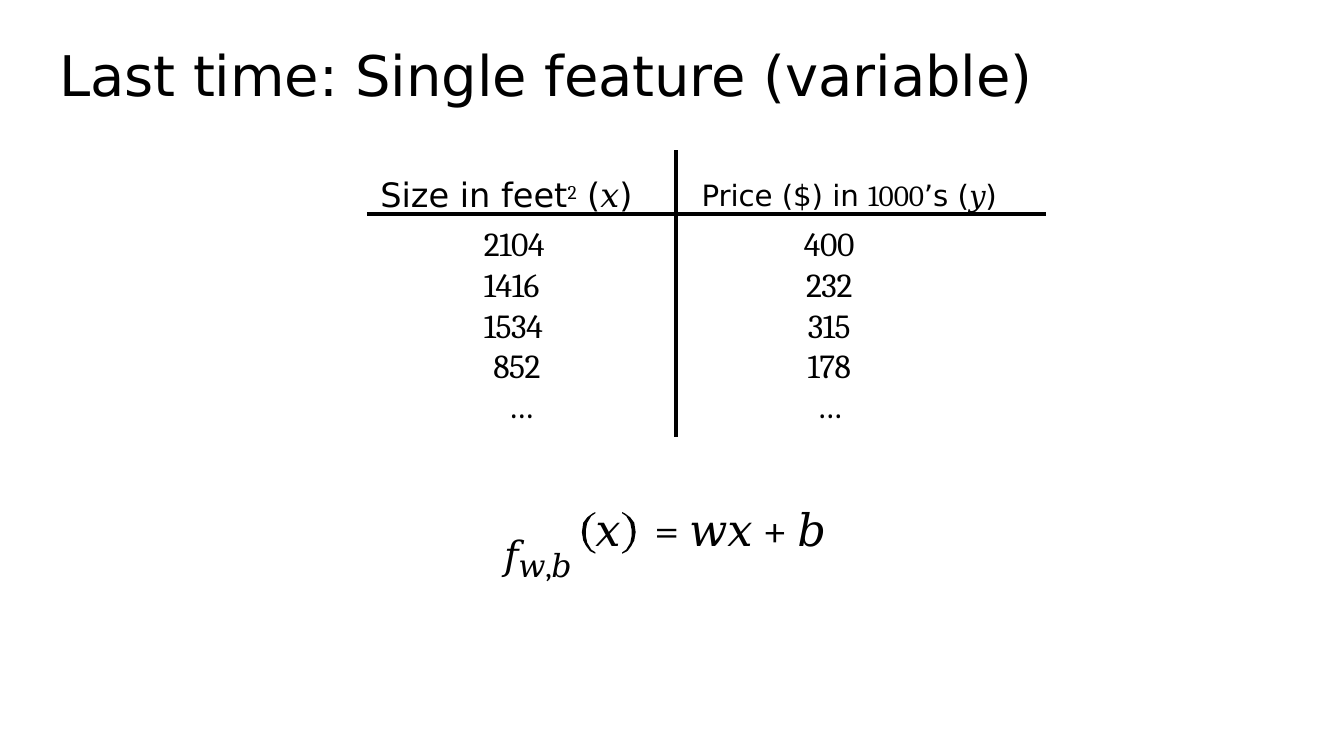
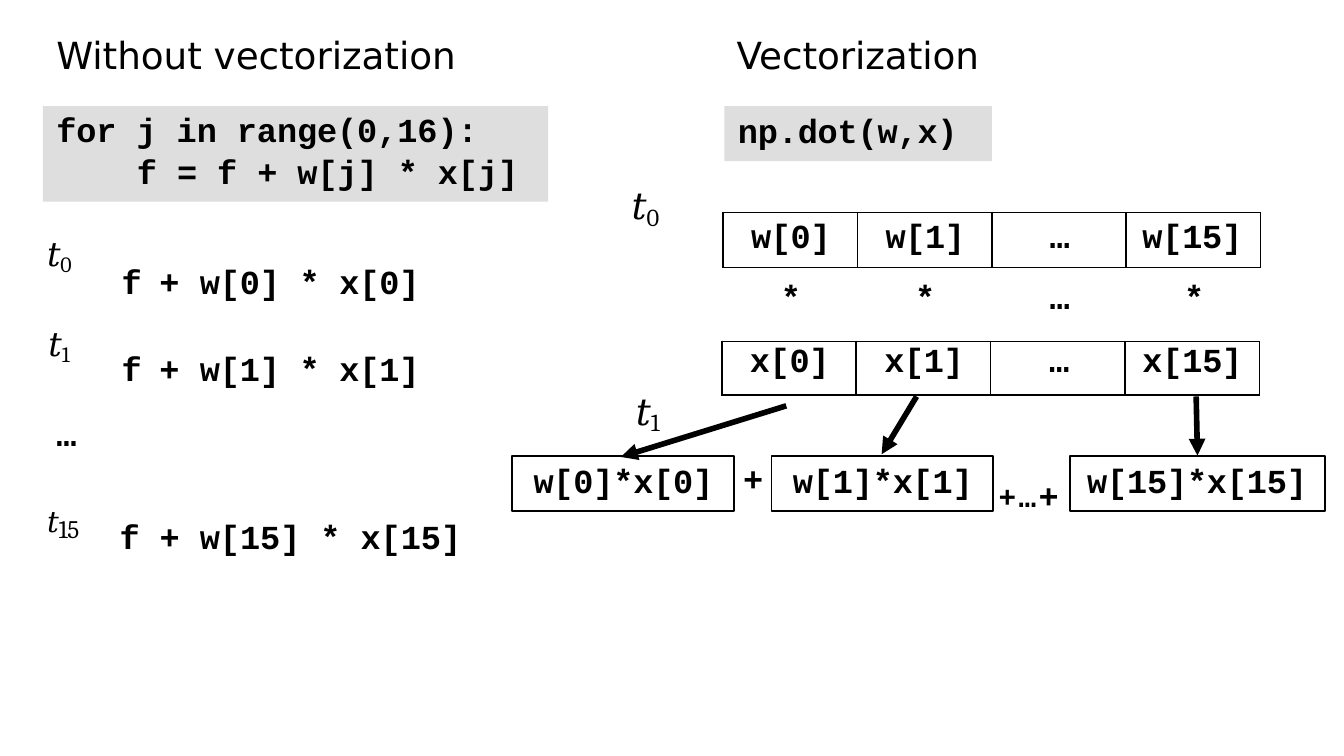
from dataclasses import dataclass
from typing import Optional

from lxml.etree import SubElement
from pptx import Presentation
from pptx.dml.color import RGBColor
from pptx.enum.shapes import MSO_CONNECTOR as Connector, MSO_SHAPE as Shape
from pptx.enum.text import MSO_ANCHOR as Anchor, MSO_AUTO_SIZE as AutoSize, PP_ALIGN as Align
from pptx.oxml.ns import qn
from pptx.util import Inches, Pt

BLACK, CODE_GREY = "000000", "DEDEDE"
SANS, SERIF, MONO = "DejaVu Sans", "Cambria", "Courier New"
NO_GRID = "{2D5ABB26-0587-4C30-8999-92F81FD0307C}"
PAREN = [(4.63, 3.81), (4.63, 3.82), (4.66, 3.84), (4.69, 3.89), (4.7, 3.94), (4.7, 3.99),
         (4.69, 4.04), (4.66, 4.09), (4.63, 4.11), (4.63, 4.12), (4.67, 4.1), (4.7, 4.06),
         (4.72, 4.02), (4.73, 3.96), (4.72, 3.89), (4.69, 3.85), (4.65, 3.82)]


@dataclass
class Span:
    """A stretch of text; raise_by is a baseline shift in percent."""
    text: str
    size: Optional[float] = None
    font: Optional[str] = None
    raise_by: int = 0
    track: float = 0


@dataclass
class Line:
    """A paragraph with its font and spacing."""
    spans: list
    size: float = 18
    font: str = SANS
    bold: bool = False
    indent: float = 0.01
    before: float = 1
    align: Align = Align.LEFT
    leading: Optional[float] = None
    tab: Optional[float] = None


def code(text, track=-0.1, **layout):
    """Return a line of bold code."""
    return Line([Span(text, track=track)], font=MONO, bold=True, **layout)


def colour(value):
    """Turn a hex string into a colour."""
    return RGBColor.from_string(value)


def write_line(para, line):
    """Fill one paragraph from a line."""
    font = para.font
    font.name, font.size, font.bold = line.font, Pt(line.size), line.bold
    font.color.rgb = colour(BLACK)
    para.alignment, para.space_before = line.align, Pt(line.before)
    if line.leading:
        para.line_spacing = Pt(line.leading)
    props = para._p.get_or_add_pPr()
    props.set("marL", str(Inches(line.indent)))
    if line.tab:
        tabs = SubElement(props, qn("a:tabLst"))
        SubElement(tabs, qn("a:tab"), pos=str(Inches(line.tab)), algn="l")
        props.find(qn("a:defRPr")).addprevious(tabs)
    for part in line.spans:
        span = para.add_run()
        span.text = part.text
        if part.font:
            span.font.name = part.font
        if part.size:
            span.font.size = Pt(part.size)
        run_props = span._r.get_or_add_rPr()
        if part.raise_by:
            run_props.set("baseline", str(part.raise_by * 1000))
        if part.track:
            run_props.set("spc", str(round(part.track * 100)))


def write(frame, lines, inset):
    """Fill a text frame, growing to fit its lines."""
    frame.margin_left = frame.margin_right = frame.margin_bottom = 0
    frame.margin_top = Inches(inset)
    frame.word_wrap, frame.auto_size = True, AutoSize.SHAPE_TO_FIT_TEXT
    frame.vertical_anchor = Anchor.TOP
    for number, line in enumerate(lines):
        write_line(frame.add_paragraph() if number else frame.paragraphs[0], line)


def add_text(page, at, *lines, inset=0.01):
    """Add a text box."""
    box = page.shapes.add_textbox(*map(Inches, at))
    write(box.text_frame, lines, inset)


def add_box(page, at, line=None, fill=None, border=None):
    """Add a rectangle, with a line of text if given."""
    box = page.shapes.add_shape(Shape.RECTANGLE, *map(Inches, at))
    box.shadow.inherit = False
    if fill:
        box.fill.solid()
        box.fill.fore_color.rgb = colour(fill)
    else:
        box.fill.background()
    if border:
        box.line.color.rgb, box.line.width = colour(border), Pt(1)
    else:
        box.line.fill.background()
    if line:
        write(box.text_frame, [line], 0.03)


def add_line(page, start, end, width, arrow=False):
    """Add a straight line, with an arrowhead if wanted."""
    line = page.shapes.add_connector(Connector.STRAIGHT, *map(Inches, start + end))
    line.line.color.rgb, line.line.width = colour(BLACK), Pt(width)
    if arrow:
        SubElement(line.line._get_or_add_ln(), qn("a:tailEnd"), type="triangle")
    SubElement(line._element.spPr, qn("a:effectLst"))


def add_border(cell):
    """Draw a thin border on all sides of a cell."""
    props = cell._tc.get_or_add_tcPr()
    for number, side in enumerate(("lnL", "lnR", "lnT", "lnB")):
        edge = props.makeelement(qn(f"a:{side}"), {"w": str(Pt(1))})
        fill = SubElement(edge, qn("a:solidFill"))
        SubElement(fill, qn("a:srgbClr"), val=BLACK)
        props.insert(number, edge)


def add_table(page, left, top, widths, heights, rows, insets=None, border=False):
    """Add a plain table of lines; None leaves a cell empty."""
    size = left, top, sum(widths), sum(heights)
    table = page.shapes.add_table(len(heights), len(widths), *map(Inches, size)).table
    table.first_row = table.horz_banding = False
    table._tbl.tblPr.find(qn("a:tableStyleId")).text = NO_GRID
    for column, width in zip(table.columns, widths):
        column.width = Inches(width)
    insets = insets or [0] * len(heights)
    for row, height, lines, inset in zip(table.rows, heights, rows, insets):
        row.height = Inches(height)
        for cell, line in zip(row.cells, lines):
            cell.margin_left = cell.margin_right = cell.margin_bottom = 0
            cell.margin_top = Inches(inset)
            cell.fill.background()
            if line:
                write_line(cell.text_frame.paragraphs[0], line)
            if border:
                add_border(cell)


def add_parentheses(page):
    """Draw a pair of mirrored parentheses."""
    builder = None
    for points in (PAREN, [(9.06 - x, y) for x, y in PAREN]):
        corners = [(Inches(x), Inches(y)) for x, y in points]
        if builder:
            builder.move_to(*corners[0])
        else:
            builder = page.shapes.build_freeform(*corners[0])
        builder.add_line_segments(corners[1:], close=True)
    pair = builder.convert_to_shape()
    pair.shadow.inherit = False
    pair.fill.solid()
    pair.fill.fore_color.rgb = colour(BLACK)
    pair.line.fill.background()


def add_heading(page, at, text, size=20, indent=0.01, inset=0.02):
    """Add a heading."""
    line = Line([Span(text, track=-0.05)], size, indent=indent, before=1.2)
    add_text(page, at, line, inset=inset)


def add_time(page, left, top, step, size):
    """Add the label of a time step."""
    spans = [Span("𝑡", track=-0.2), Span(step, size * 1.125, raise_by=-16, track=-0.4)]
    add_text(page, (left, top, 0.32, 0.35), Line(spans, size, SERIF, indent=0.04))


def number_cell(text, indent, leading, align=Align.LEFT):
    """Return the line of a data cell."""
    return Line([Span(text, track=-0.2)], font=SERIF, indent=indent, before=0,
                leading=leading, align=align)


def build_single_feature(page):
    """Build the slide on a single feature."""
    add_text(page, (3.71, 3.79, 0.61, 0.43), Line(
        [Span("𝑓", 36, raise_by=12, track=-0.3), Span("𝑤,𝑏", track=-0.2)],
        17, SERIF, indent=0.04))
    add_parentheses(page)
    add_text(page, (4.42, 3.72, 1.8, 0.43), Line(
        [Span("𝑥", track=-0.5), Span("\t= 𝑤𝑥 + "), Span("𝑏", track=-0.6)],
        24, SERIF, tab=0.44))
    add_heading(page, (0.29, 0.03, 9.28, 0.78), "Last time: Single feature (variable)",
                30, 0.15, 0.27)
    price = dict(size=27, raise_by=2)
    add_text(page, (2.8, 1.16, 5.12, 0.33), Line([
        Span("Size in feet"), Span("2", font=SERIF, raise_by=25), Span(" (", track=-0.2),
        Span("𝑥", font=SERIF, track=-0.2), Span(")\t", track=-0.2),
        Span("Price ($) in ", **price), Span("1000", font=SERIF, **price),
        Span("’s ", **price), Span("(", track=-0.4, **price),
        Span("𝑦", font=SERIF, track=-0.4, **price), Span(")", track=-0.4, **price),
    ], indent=0.03, tab=2.39))
    add_line(page, (2.73, 1.59), (7.78, 1.59), 2)
    add_line(page, (5.03, 1.12), (5.03, 3.25), 2)
    data = [("2104", 0.03, "400"), ("1416", 0.03, "232"), ("1534", 0.03, "315"),
            ("852", 0.1, "178"), ("…", 0.21, "…")]
    rows = []
    for number, (size, indent, price_text) in enumerate(data):
        leading = 19.5 if number else 17.6
        rows.append((number_cell(size, indent, leading),
                     number_cell(price_text, 0.87, leading, Align.CENTER)))
    add_table(page, 3.57, 1.73, [1.49, 1.35], [0.28, 0.3, 0.3, 0.3, 0.33], rows)


def build_vectorization(page):
    """Build the slide that compares a loop with a dot product."""
    add_box(page, (0.32, 0.79, 3.76, 0.71), fill=CODE_GREY)
    add_text(page, (0.41, 0.8, 3.46, 0.63), code("for j in range(0,16):", -0.05),
             code("f = f + w[j] * x[j]", -0.05, indent=0.61, before=1.2))
    add_box(page, (5.39, 0.79, 1.99, 0.41),
            code("np.dot(w,x)", indent=0.1, before=1.9), fill=CODE_GREY)
    add_heading(page, (0.41, 0.22, 3.02, 0.37), "Without vectorization")
    add_heading(page, (5.47, 0.22, 1.85, 0.37), "Vectorization")

    for left, top, step, size in ((0.31, 1.69, "0", 18), (0.32, 2.36, "1", 18),
                                  (4.66, 1.31, "0", 20), (4.69, 2.84, "1", 20)):
        add_time(page, left, top, step, size)
    add_text(page, (0.31, 3.62, 0.38, 0.33), Line(
        [Span("𝑡", 27, raise_by=11, track=-0.4), Span("15", track=-0.2)],
        13.5, SERIF, indent=0.04))
    steps = []
    for step, layout in enumerate((dict(leading=18.6, before=0), dict(before=10.8))):
        texts = "f", "+", f"w[{step}]", f"* x[{step}]"
        steps.append([code(text, align=Align.CENTER, indent=0.03 if "*" in text else 0,
                           **layout) for text in texts])
    add_table(page, 0.85, 2.01, [0.26, 0.3, 0.75, 1], [0.47, 0.47], steps, [0, 0.15])
    add_text(page, (0.88, 3.83, 2.57, 0.33), code("f + w[15] * x[15]", -0.03))

    four = [1, 1, 1, 1]
    add_table(page, 5.38, 1.58, four, [0.41], [[None] * 4], border=True)
    add_text(page, (5.58, 1.44, 1.61, 0.93),
             code("w[0]\tw[1]", -0.2, align=Align.CENTER, indent=0, before=11.8, tab=1),
             code("*\t*", -0.5, align=Align.CENTER, indent=0, before=10.8, tab=1),
             inset=0.16)
    add_table(page, 5.37, 2.54, four, [0.4], [[
        code("x[0]", -0.2, indent=0.21, before=1.7),
        code("x[1]", -0.2, indent=0.21, before=1.7),
        code("…", -0.5, align=Align.CENTER, indent=0.02, before=1.7),
        code("x[15]", indent=0.13, before=1.7)]], [0.02], border=True)
    for left, top, width, text in ((7.8, 1.59, 0.18, "…"), (8.49, 1.59, 0.77, "w[15]"),
                                   (7.8, 2.04, 0.18, "…"), (8.8, 2.04, 0.18, "*"),
                                   (5.52, 3.4, 0.18, "+"), (0.41, 3.06, 0.18, "…")):
        add_text(page, (left, top, width, 0.33), code(text))

    for left, width, step, indent in ((3.81, 1.65, 0, 0.16), (5.74, 1.65, 1, 0.16),
                                      (7.96, 1.9, 15, 0.13)):
        add_box(page, (left, 3.39, width, 0.41),
                code(f"w[{step}]*x[{step}]", indent=indent, before=1.9), border=BLACK)
    add_text(page, (7.42, 3.4, 0.53, 0.33), Line(
        [Span("+…", 27, raise_by=2, track=1.4), Span("+", track=0.9)], font=MONO, bold=True))
    for start, end in (((5.85, 3.02), (4.62, 3.4)), ((6.82, 2.95), (6.56, 3.38)),
                       ((8.9, 2.95), (8.91, 3.39))):
        add_line(page, start, end, 3, arrow=True)


def main():
    """Build the deck and save it."""
    deck = Presentation()
    deck.slide_width = Inches(10)
    deck.slide_height = deck.slide_width * 9 // 16
    for build in (build_single_feature, build_vectorization):
        build(deck.slides.add_slide(deck.slide_layouts[6]))
    deck.save("out.pptx")


if __name__ == "__main__":
    main()
